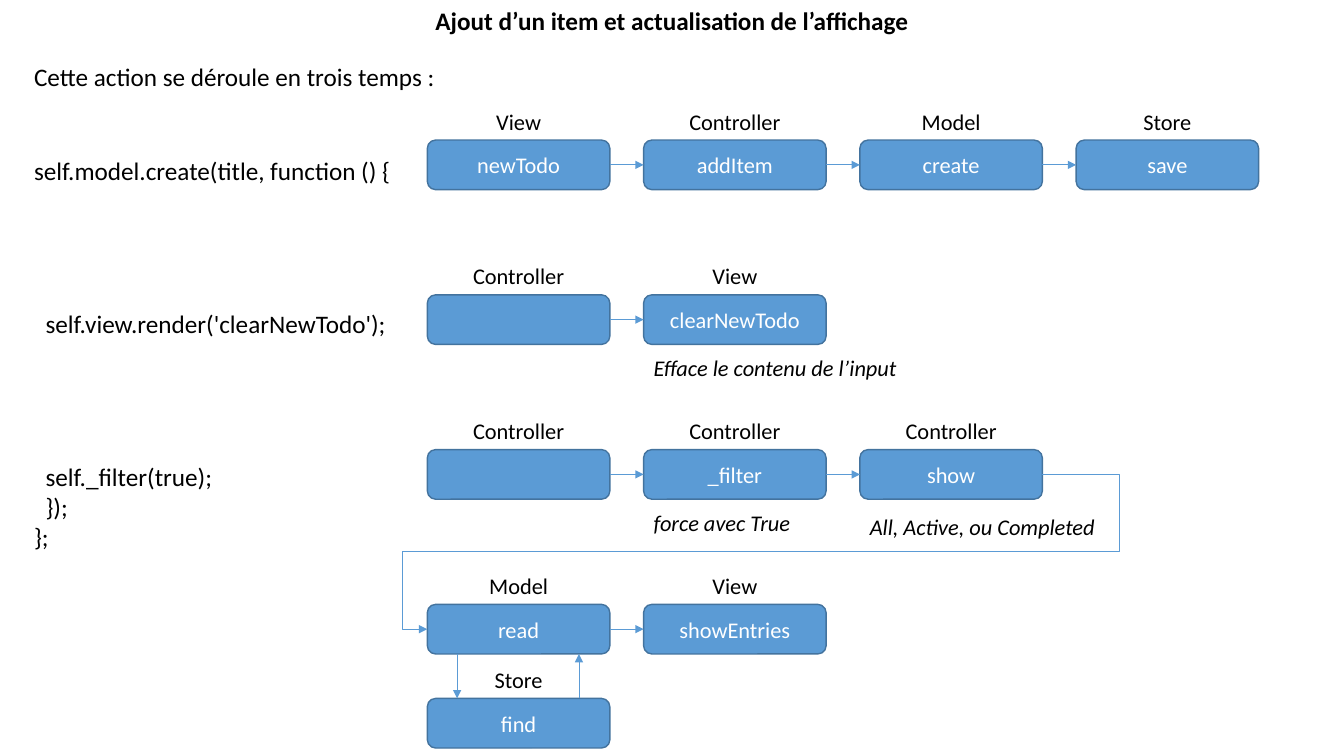
"""Build the slide that explains how an item is added and the display refreshed."""
from lxml import etree
from pptx import Presentation
from pptx.dml.color import RGBColor
from pptx.enum.shapes import MSO_CONNECTOR, MSO_SHAPE
from pptx.enum.text import MSO_ANCHOR, PP_ALIGN
from pptx.oxml.ns import qn
from pptx.util import Cm, Pt

LEFT, CENTER = PP_ALIGN.LEFT, PP_ALIGN.CENTER
TOP, MIDDLE = MSO_ANCHOR.TOP, MSO_ANCHOR.MIDDLE
STRAIGHT, ELBOW = MSO_CONNECTOR.STRAIGHT, MSO_CONNECTOR.ELBOW
ROUNDED = MSO_SHAPE.ROUNDED_RECTANGLE

COLORS = {"text": "000000", "box": "5B9BD5", "edge": "43739E", "label": "FFFFFF"}
BODY = {"name": "Calibri", "size": Pt(18), "bold": False}
HEADING = {**BODY, "bold": True}
LABEL = {**BODY, "size": Pt(16)}
NOTE = {**LABEL, "italic": True}

BOX_W, BOX_H, STEP_X = 4.6, 1.25, 5.45
OWNER_W, OWNER_H = 3.53, 0.94
FLOW_LEFT, FLOW_TOP, ROW_H = 10.77, 3.53, 3.9
CODE_LEFT, CODE_TOP, CODE_STEP = 0.61, 3.78, 3.86
CODE_INDENT = 0.29
FIND_TOP = 17.6

FLOWS = [
    [("View", "newTodo"), ("Controller", "addItem"), ("Model", "create"), ("Store", "save")],
    [("Controller", ""), ("View", "clearNewTodo")],
    [("Controller", ""), ("Controller", "_filter"), ("Controller", "show")],
    [("Model", "read"), ("View", "showEntries")],
]
CODE = [
    [(0, "self.model.create(title, function () {")],
    [(1, "self.view.render('clearNewTodo');")],
    [(1, "self._filter(true);"), (1, "});"), (0, "};")],
]
NOTES = [
    (1, 1, 1.38, 9.9, "Efface le contenu de l’input"),
    (2, 1, 1.38, 4.6, "force avec True"),
    (2, 2, 1.47, 6.27, "All, Active, ou Completed"),
]


def rgb(key):
    """Return the named colour."""
    return RGBColor.from_string(COLORS[key])


def write(sp, lines, fmt, align=LEFT, anchor=TOP, color="text"):
    """Fill a shape with (indent level, text) lines in one format."""
    tf = sp.text_frame
    tf.word_wrap = True
    tf.vertical_anchor = anchor
    for i, (level, text) in enumerate(lines):
        p = tf.add_paragraph() if i else tf.paragraphs[0]
        p.alignment = align
        p.line_spacing = 1.0
        p.space_before = Pt(0)
        if level:
            p._p.get_or_add_pPr().set("marL", str(Cm(CODE_INDENT * level)))
        r = p.add_run()
        r.text = text
        for name, value in fmt.items():
            setattr(r.font, name, value)
        r.font.color.rgb = rgb(color)


def add_text(s, left, top, width, height, lines, fmt, align=LEFT):
    """Add a text box."""
    sp = s.shapes.add_textbox(Cm(left), Cm(top), Cm(width), Cm(height))
    write(sp, lines, fmt, align)


def add_arrow(s, x1, y1, x2, y2, kind=STRAIGHT):
    """Add a thin connector with an arrowhead at its end."""
    cxn = s.shapes.add_connector(kind, Cm(x1), Cm(y1), Cm(x2), Cm(y2))
    cxn.line.color.rgb = rgb("box")
    cxn.line.width = Pt(0.5)
    etree.SubElement(cxn.line._get_or_add_ln(), qn("a:tailEnd"), type="triangle")
    etree.SubElement(cxn._element.spPr, qn("a:effectLst"))
    return cxn


def add_title(s, left, top, width, height):
    """Place and format the title."""
    sp = s.shapes.title
    box = {"left": left, "top": top, "width": width, "height": height}
    for name, value in box.items():
        setattr(sp, name, Cm(value))
    write(sp, [(0, "Ajout d’un item et actualisation de l’affichage")], HEADING, CENTER)


def add_step(s, left, top, owner, action):
    """Add one action box with its owner above."""
    sp = s.shapes.add_shape(ROUNDED, Cm(left), Cm(top), Cm(BOX_W), Cm(BOX_H))
    sp.shadow.inherit = False
    sp.fill.solid()
    sp.fill.fore_color.rgb = rgb("box")
    sp.line.color.rgb = rgb("edge")
    sp.line.width = Pt(1)
    if action:
        write(sp, [(0, action)], LABEL, CENTER, MIDDLE, "label")
    add_text(s, left + (BOX_W - OWNER_W) / 2, top - OWNER_H, OWNER_W, OWNER_H,
             [(0, owner)], LABEL, CENTER)


def add_flow(s, left, top, steps):
    """Add a row of steps joined by arrows."""
    middle = top + BOX_H / 2
    for i, (owner, action) in enumerate(steps):
        x = left + i * STEP_X
        add_step(s, x, top, owner, action)
        if i:
            add_arrow(s, x - STEP_X + BOX_W, middle, x, middle)


def add_code(s, left, top, width):
    """Add the code fragments down the left side."""
    for i, lines in enumerate(CODE):
        height = 0.25 + 0.77 * len(lines)
        add_text(s, left, top + i * CODE_STEP, width, height, lines, BODY)


def add_return(s, left, top):
    """Link the end of the third row back to the start of the fourth."""
    middle = top + BOX_H / 2
    cxn = add_arrow(s, left + 2 * STEP_X + BOX_W, middle, left, middle + ROW_H, ELBOW)
    geom = cxn._element.spPr.find(qn("a:prstGeom"))
    geom.set("prst", "bentConnector5")
    guides = geom.find(qn("a:avLst"))
    for i, value in enumerate((-12600, 50000, 104100), 1):
        etree.SubElement(guides, qn("a:gd"), name=f"adj{i}", fmla=f"val {value}")


def add_store_loop(s, left, top, bottom):
    """Add the find step with its arrows from and to the step above."""
    add_step(s, left, bottom, "Store", "find")
    add_arrow(s, left + 0.75, top + BOX_H, left + 0.75, bottom)
    add_arrow(s, left + 3.82, bottom, left + 3.82, top + BOX_H)


def main():
    """Build and save the slide."""
    prs = Presentation()
    prs.slide_width, prs.slide_height = Cm(33.87), Cm(19.05)
    s = prs.slides.add_slide(prs.slide_layouts[5])
    add_title(s, 0, 0, 33.87, 1.03)
    add_text(s, CODE_LEFT, 1.42, 15.14, 1.03,
             [(0, "Cette action se déroule en trois temps :")], BODY)
    add_code(s, CODE_LEFT, CODE_TOP, 9.9)
    tops = [FLOW_TOP + i * ROW_H for i in range(len(FLOWS))]
    for top, steps in zip(tops, FLOWS):
        add_flow(s, FLOW_LEFT, top, steps)
    for row, col, drop, width, text in NOTES:
        add_text(s, FLOW_LEFT + col * STEP_X, tops[row] + drop, width, OWNER_H,
                 [(0, text)], NOTE)
    add_return(s, FLOW_LEFT, tops[2])
    add_store_loop(s, FLOW_LEFT, tops[3], FIND_TOP)
    prs.save("out.pptx")


main()
